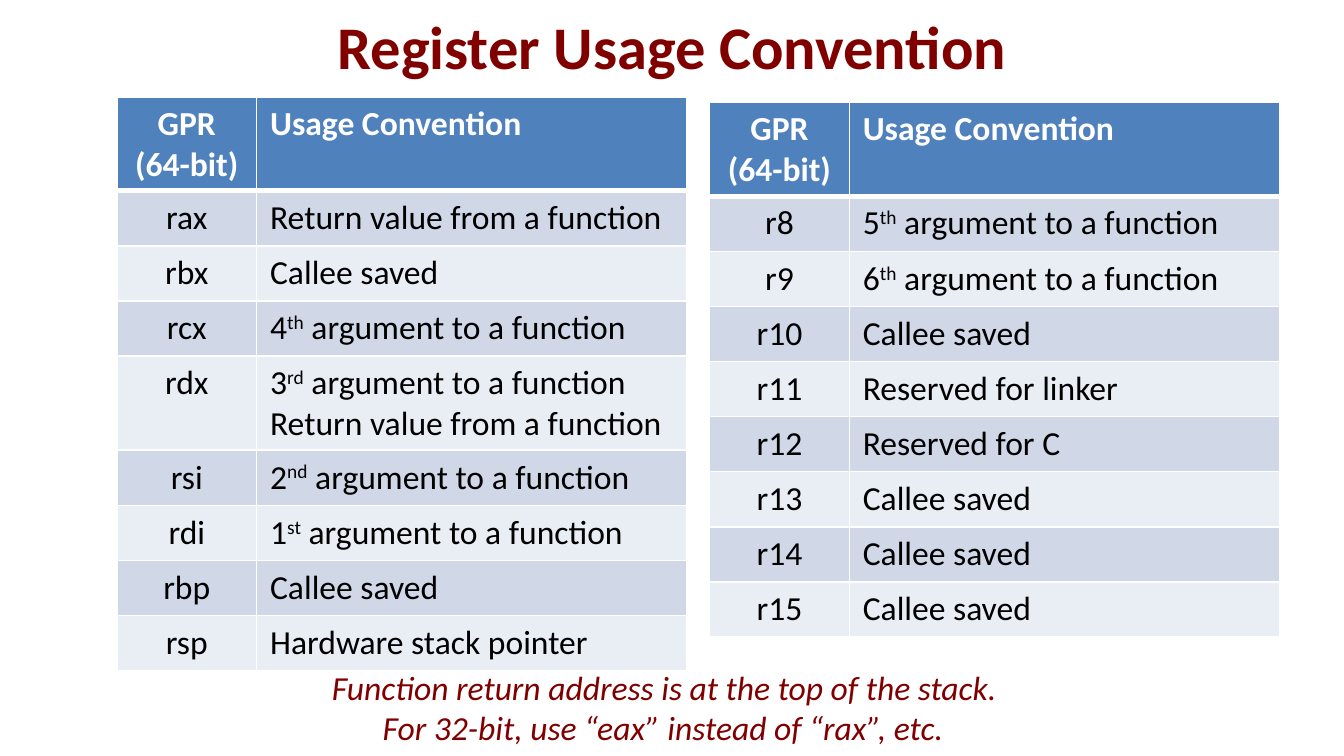
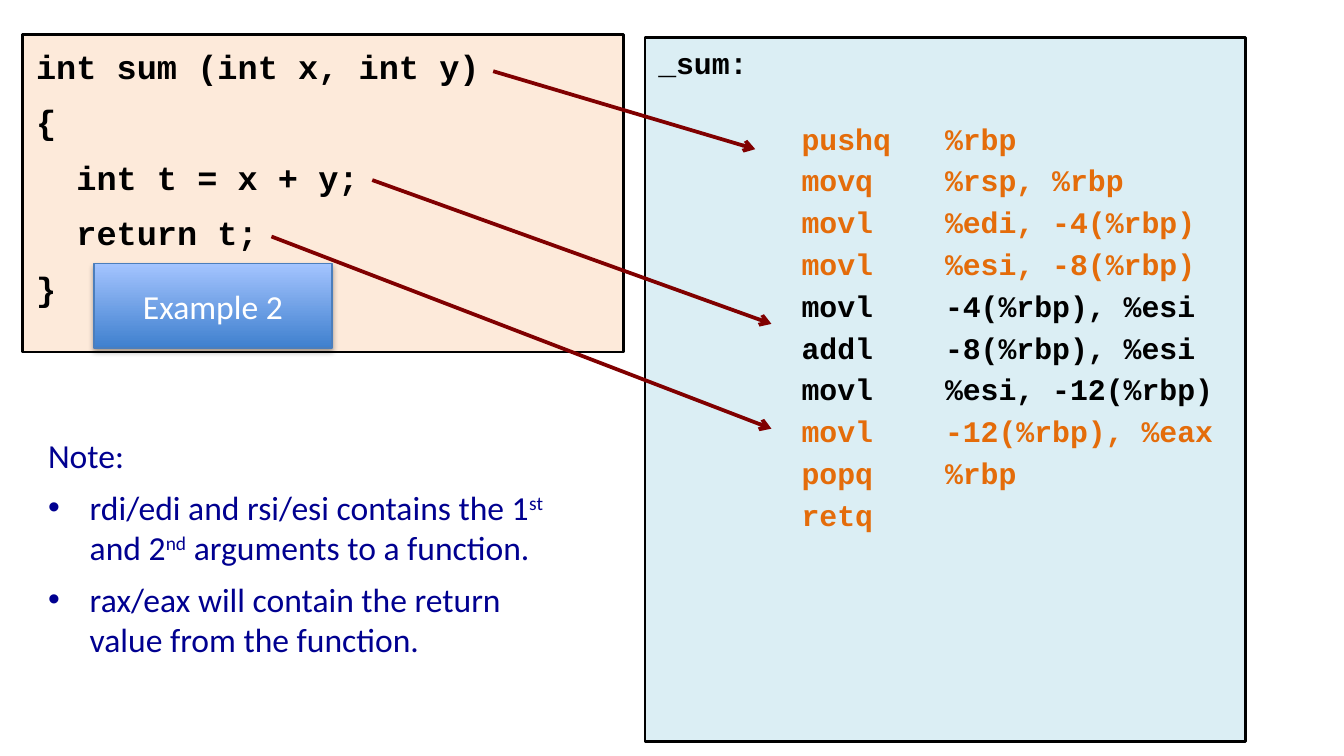
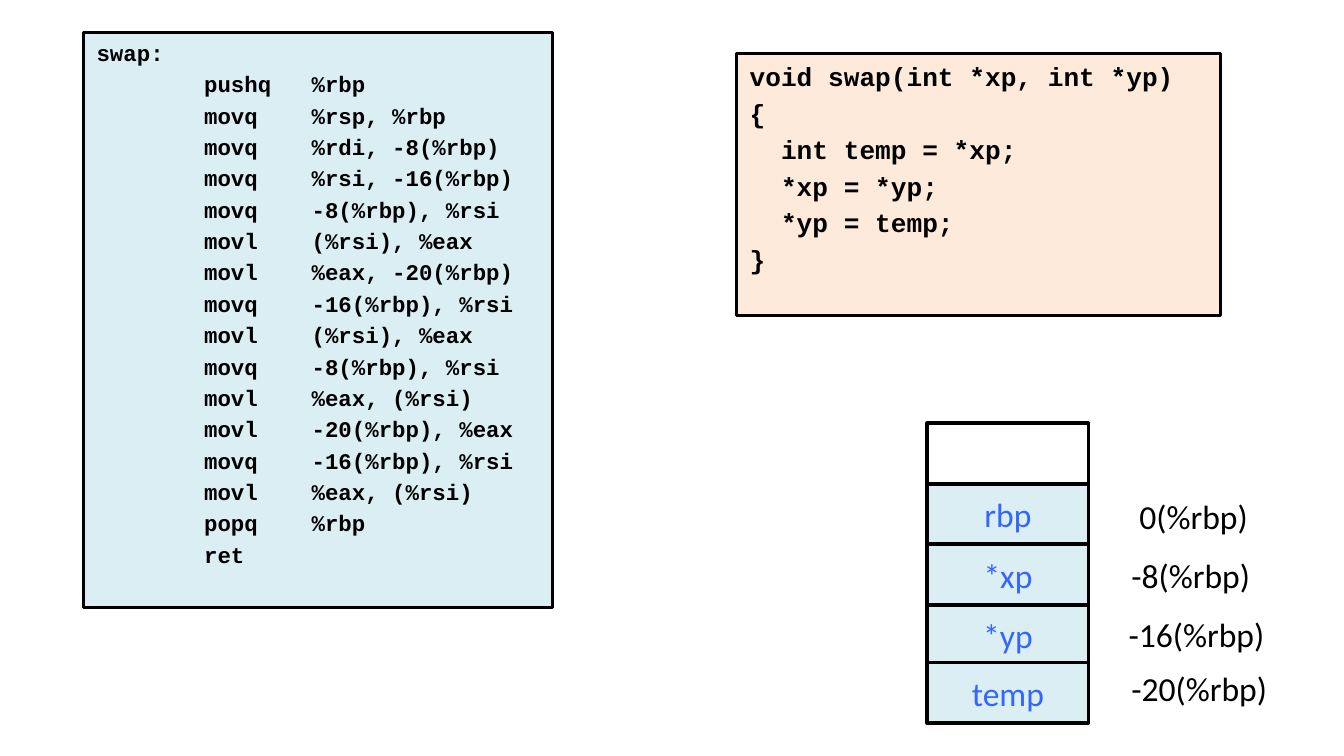
from lxml import etree
from pptx import Presentation
from pptx.dml.color import RGBColor
from pptx.enum.shapes import MSO_CONNECTOR, MSO_SHAPE
from pptx.enum.text import MSO_ANCHOR, PP_ALIGN
from pptx.oxml import parse_xml
from pptx.oxml.ns import nsdecls, qn
from pptx.util import Inches, Pt

RECTANGLE = MSO_SHAPE.RECTANGLE
STRAIGHT = MSO_CONNECTOR.STRAIGHT
LEFT, CENTER = PP_ALIGN.LEFT, PP_ALIGN.CENTER
TOP, MIDDLE = MSO_ANCHOR.TOP, MSO_ANCHOR.MIDDLE

BLACK = RGBColor(0x00, 0x00, 0x00)
WHITE = RGBColor(0xFF, 0xFF, 0xFF)
MAROON = RGBColor(0x80, 0x00, 0x00)
NAVY = RGBColor(0x00, 0x00, 0x90)
ORANGE = RGBColor(0xE4, 0x6C, 0x0A)
STACK_BLUE = RGBColor(0x33, 0x66, 0xFF)
SOURCE_FILL = RGBColor(0xFD, 0xEA, 0xDA)
ASSEMBLY_FILL = RGBColor(0xDB, 0xEE, 0xF4)
HEADER_FILL = RGBColor(0x4F, 0x81, 0xBD)
BAND_FILLS = (RGBColor(0xE9, 0xED, 0xF4), RGBColor(0xD0, 0xD8, 0xE8))
BUTTON_DARK = RGBColor(0x3F, 0x80, 0xCE)
BUTTON_LIGHT = RGBColor(0xA4, 0xC4, 0xFF)
BUTTON_LINE = RGBColor(0x4B, 0x7E, 0xBC)

TEXT_FONT = "Calibri"
CODE_FONT = "Courier New"
CODE_CHARACTER = 0.6  # character width as a share of the font size
CODE_GAP = 0.2  # space between code lines as a share of the font size


def write_lines(frame, lines, size, color, name=TEXT_FONT, alignment=LEFT,
                bold=False, space_after=0):
    """Write one paragraph per line, raise text between carets, return paragraphs."""
    frame.word_wrap = True
    for index, line in enumerate(lines):
        paragraph = frame.add_paragraph() if index else frame.paragraphs[0]
        paragraph.alignment = alignment
        paragraph.space_after = Pt(space_after)
        font = paragraph.font
        font.name, font.size, font.bold = name, Pt(size), bold
        font.color.rgb = color
        for position, part in enumerate(line.split("^")):
            run = paragraph.add_run()
            run.text = part
            if position % 2:
                run.font._element.set("baseline", "30000")
    return frame.paragraphs


def add_box(slide, place, fill, line_width=1.5, line_color=BLACK, anchor=TOP):
    """Add a flat outlined rectangle; a fill of None leaves it open."""
    box = slide.shapes.add_shape(RECTANGLE, *map(Inches, place))
    box.shadow.inherit = False
    if fill is None:
        box.fill.background()
    else:
        box.fill.solid()
        box.fill.fore_color.rgb = fill
    box.line.color.rgb = line_color
    box.line.width = Pt(line_width)
    box.text_frame.vertical_anchor = anchor
    return box


presentation = Presentation()
presentation.slide_width = Inches(10)
presentation.slide_height = Inches(10 * 9 / 16)
blank_layout = presentation.slide_layouts[6]
register_slide, sum_slide, swap_slide = [
    presentation.slides.add_slide(blank_layout) for _ in range(3)]

# Slide 1: register tables
title = register_slide.shapes.add_textbox(
    Inches(0.5), Inches(0.03), Inches(9), Inches(0.62))
title.text_frame.vertical_anchor = MIDDLE
write_lines(title.text_frame, ["Register Usage Convention"], 32.4, MAROON,
            alignment=CENTER, bold=True)

HEADER = ("GPR (64-bit)", ["Usage Convention"])
SAVED = ["Callee saved"]
RETURNED = "Return value from a function"
ARGUMENT = "argument to a function"
register_tables = [
    (0.87, 0.72, [
        HEADER,
        ("rax", [RETURNED]),
        ("rbx", SAVED),
        ("rcx", [f"4^th^ {ARGUMENT}"]),
        ("rdx", [f"3^rd^ {ARGUMENT}", RETURNED]),
        ("rsi", [f"2^nd^ {ARGUMENT}"]),
        ("rdi", [f"1^st^ {ARGUMENT}"]),
        ("rbp", SAVED),
        ("rsp", ["Hardware stack pointer"]),
    ]),
    (5.28, 0.76, [
        HEADER,
        ("r8", [f"5^th^ {ARGUMENT}"]),
        ("r9", [f"6^th^ {ARGUMENT}"]),
        ("r10", SAVED),
        ("r11", ["Reserved for linker"]),
        ("r12", ["Reserved for C"]),
        ("r13", SAVED),
        ("r14", SAVED),
        ("r15", SAVED),
    ]),
]
for left, top, rows in register_tables:
    table = register_slide.shapes.add_table(
        len(rows), 2, Inches(left), Inches(top), Inches(4.24), Inches(3.94)).table
    table.columns[0].width = Inches(1.04)
    table.columns[1].width = Inches(3.2)
    for index, (register, usage) in enumerate(rows):
        is_header = index == 0
        is_tall = is_header or len(usage) > 1
        table.rows[index].height = Inches(0.7 if is_tall else 0.41)
        for column, lines in enumerate(([register], usage)):
            cell = table.cell(index, column)
            cell.fill.solid()
            cell.fill.fore_color.rgb = HEADER_FILL if is_header else BAND_FILLS[index % 2]
            write_lines(cell.text_frame, lines, 18, WHITE if is_header else BLACK,
                        alignment=LEFT if column else CENTER, bold=is_header)
            if is_header:
                cell._tc.get_or_add_tcPr().insert(0, parse_xml(
                    f'<a:lnB {nsdecls("a")} w="{Pt(3)}"><a:solidFill>'
                    f'<a:srgbClr val="{WHITE}"/></a:solidFill></a:lnB>'))

remarks = [
    (1.73, 4.91, "Function return address is at the top of the stack."),
    (1.72, 5.21, "For 32-bit, use “eax” instead of “rax”, etc."),
]
for left, top, remark in remarks:
    text_box = register_slide.shapes.add_textbox(
        Inches(left), Inches(top), Inches(6.43), Inches(0.4))
    paragraph = write_lines(text_box.text_frame, [remark], 18, MAROON,
                            alignment=CENTER)[0]
    paragraph.font.italic = True

# Slides 2 and 3: C sources, with the numbers of the indented lines
sources = [
    (sum_slide, (0.17, 0.26, 4.47, 2.36), 18, 6, 1.1, (2, 3),
     ["int sum (int x, int y)", "{", "int t = x + y;", "return t;", "}"]),
    (swap_slide, (5.48, 0.4, 3.6, 1.95), 14, 14 * CODE_GAP, 1.0, (2, 3, 4),
     ["void swap(int *xp, int *yp)", "{", "int temp = *xp;", "*xp = *yp;",
      "*yp = temp;", "}"]),
]
for slide, place, size, gap, line_spacing, indented, lines in sources:
    box = add_box(slide, place, SOURCE_FILL)
    paragraphs = write_lines(box.text_frame, lines, size, BLACK, CODE_FONT,
                             bold=True, space_after=gap)
    for index, paragraph in enumerate(paragraphs):
        paragraph.line_spacing = line_spacing
        if index in indented:
            indent = Pt(2 * CODE_CHARACTER * size)
            paragraph._p.get_or_add_pPr().set("marL", str(indent))

# Slides 2 and 3: assembly listings in tabbed columns, with the orange lines
listings = [
    (sum_slide, (4.8, 0.28, 4.47, 5.24), 16, 21.6, (1, 2, 3, 4, 8, 9, 10),
     ["_sum:", "pushq %rbp", "movq %rsp, %rbp", "movl %edi, -4(%rbp)",
      "movl %esi, -8(%rbp)", "movl -4(%rbp), %esi", "addl -8(%rbp), %esi",
      "movl %esi, -12(%rbp)", "movl -12(%rbp), %eax", "popq %rbp", "retq"]),
    (swap_slide, (0.62, 0.24, 3.49, 4.28), 12, 12 * CODE_GAP, (),
     ["swap:", "pushq %rbp", "movq %rsp, %rbp", "movq %rdi, -8(%rbp)",
      "movq %rsi, -16(%rbp)", "movq -8(%rbp), %rsi", "movl (%rsi), %eax",
      "movl %eax, -20(%rbp)", "movq -16(%rbp), %rsi", "movl (%rsi), %eax",
      "movq -8(%rbp), %rsi", "movl %eax, (%rsi)", "movl -20(%rbp), %eax",
      "movq -16(%rbp), %rsi", "movl %eax, (%rsi)", "popq %rbp", "ret"]),
]
for slide, place, size, label_gap, orange_lines, (label, *instructions) in listings:
    box = add_box(slide, place, ASSEMBLY_FILL)
    lines = [label] + ["\t" + line.replace(" ", "\t", 1) for line in instructions]
    paragraphs = write_lines(box.text_frame, lines, size, BLACK, CODE_FONT,
                             bold=True, space_after=size * CODE_GAP)
    paragraphs[0].space_after = Pt(label_gap)
    for index, paragraph in enumerate(paragraphs):
        if index in orange_lines:
            paragraph.font.color.rgb = ORANGE
        properties = paragraph._p.get_or_add_pPr()
        tab_list = etree.Element(qn("a:tabLst"))
        for characters in (8, 16):
            position = Pt(characters * CODE_CHARACTER * size)
            etree.SubElement(tab_list, qn("a:tab"), pos=str(position), algn="l")
        properties.find(qn("a:defRPr")).addprevious(tab_list)

# Slide 2: example button
button = add_box(sum_slide, (0.7, 1.96, 1.77, 0.63), BUTTON_DARK, 0.75,
                 BUTTON_LINE, MIDDLE)
button.fill.gradient()
button.fill.gradient_angle = 90
for stop, color in zip(button.fill.gradient_stops, (BUTTON_DARK, BUTTON_LIGHT)):
    stop.color.rgb = color
button._element.spPr.find(qn("a:effectLst")).append(parse_xml(
    f'<a:outerShdw {nsdecls("a")} blurRad="{Pt(3.1)}" dist="{Pt(1.8)}" dir="5400000" '
    'rotWithShape="0"><a:srgbClr val="000000"><a:alpha val="35000"/></a:srgbClr>'
    '</a:outerShdw>'))
write_lines(button.text_frame, ["Example 2"], 18, WHITE, alignment=CENTER)

# Slide 2: notes
notes = sum_slide.shapes.add_textbox(
    Inches(0.26), Inches(3.19), Inches(4.06), Inches(1.78))
paragraphs = write_lines(notes.text_frame, [
    "Note:",
    "rdi/edi and rsi/esi contains the 1^st^ and 2^nd^ arguments to a function.",
    "rax/eax will contain the return value from the function.",
], 18, NAVY, space_after=6)
for paragraph in paragraphs[1:]:
    properties = paragraph._p.get_or_add_pPr()
    properties.set("marL", str(Inches(0.31)))
    properties.set("indent", str(-Inches(0.31)))
    default_font = properties.find(qn("a:defRPr"))
    for tag, attributes in (("a:buFont", {"typeface": "Arial"}),
                            ("a:buChar", {"char": "•"})):
        default_font.addprevious(etree.Element(qn(tag), attributes))

# Slide 2: arrows from source lines to instructions
arrows = [
    (3.67, 0.53, 5.62, 1.11),
    (2.77, 1.34, 5.74, 2.41),
    (2.02, 1.76, 5.74, 3.19),
]
for ends in arrows:
    arrow = sum_slide.shapes.add_connector(STRAIGHT, *map(Inches, ends))
    arrow.line.color.rgb = MAROON
    arrow.line.width = Pt(2)
    etree.SubElement(arrow.line._get_or_add_ln(), qn("a:tailEnd"), type="arrow")
    etree.SubElement(arrow._element.spPr, qn("a:effectLst"))

# Slide 3: stack frame, top to bottom
stack_slots = [(3.15, ""), (3.6, "rbp"), (4.05, "*xp"), (4.5, "*yp"), (4.93, "temp")]
for top, name in stack_slots:
    box = add_box(swap_slide, (6.9, top, 1.2, 0.45), ASSEMBLY_FILL if name else None,
                  2, anchor=MIDDLE)
    if name:
        write_lines(box.text_frame, [name], 18, STACK_BLUE, alignment=CENTER)

stack_offsets = [
    (8.38, 3.64, "0(%rbp)"),
    (8.32, 4.08, "-8(%rbp)"),
    (8.3, 4.52, "-16(%rbp)"),
    (8.32, 4.92, "-20(%rbp)"),
]
for left, top, offset in stack_offsets:
    text_box = swap_slide.shapes.add_textbox(
        Inches(left), Inches(top), Inches(1.4), Inches(0.4))
    write_lines(text_box.text_frame, [offset], 18, BLACK)

presentation.save("out.pptx")
